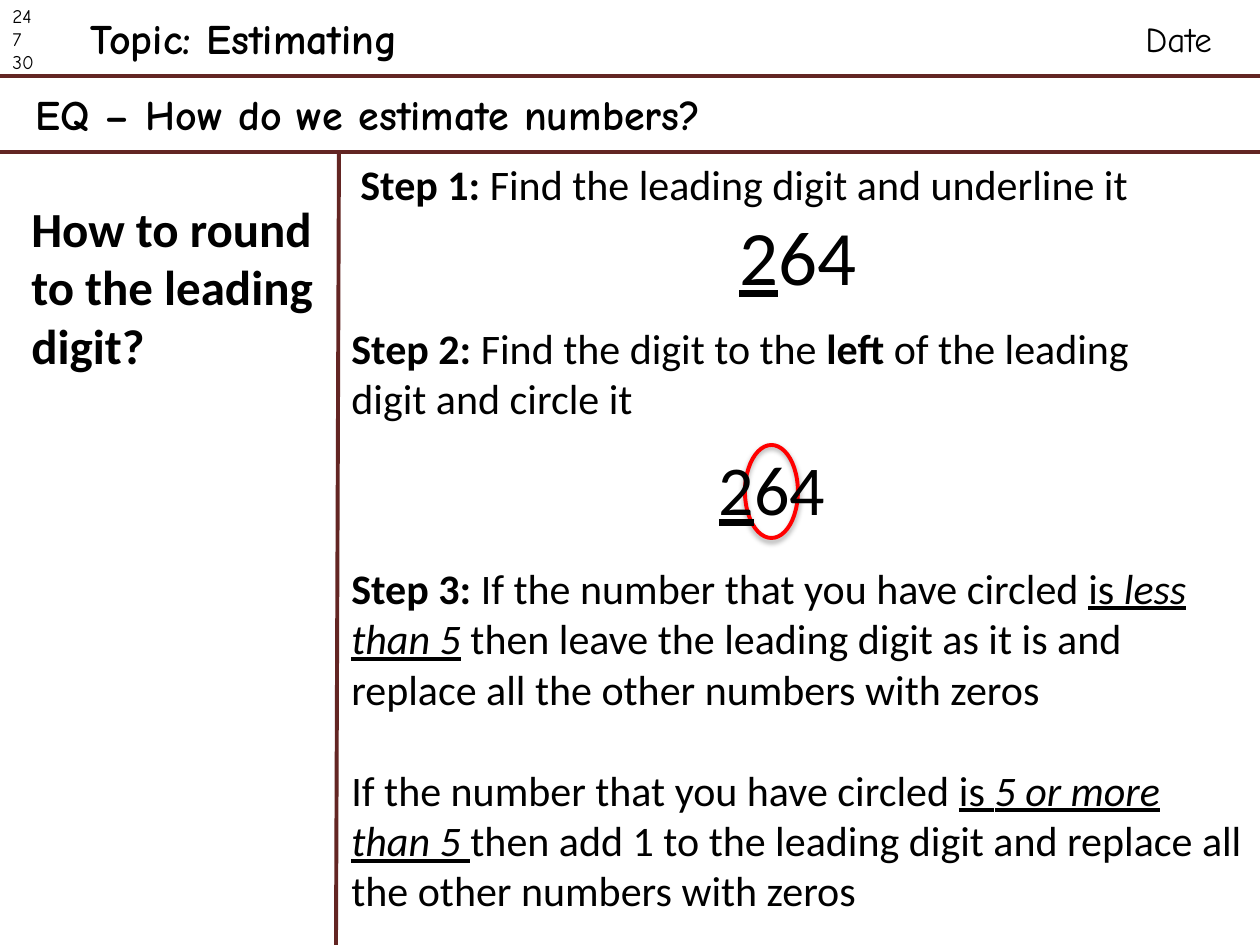
import pptx
import pptx.dml.color
import pptx.enum.shapes
import pptx.enum.text
import pptx.oxml
import pptx.oxml.ns
import pptx.util
from lxml import etree

PX = 914400 / 126  # EMU in one px
MAROON = pptx.dml.color.RGBColor(0x63, 0x25, 0x23)
RED = pptx.dml.color.RGBColor(0xFF, 0x00, 0x00)
BLACK = pptx.dml.color.RGBColor(0x00, 0x00, 0x00)
HAND, BODY = "Comic Neue", "Calibri"
LEFT, CENTER = pptx.enum.text.PP_ALIGN.LEFT, pptx.enum.text.PP_ALIGN.CENTER

SHADOW = (
    '<a:effectLst %s><a:outerShdw blurRad="39370" dist="22860" dir="5400000" rotWithShape="0">'
    '<a:srgbClr val="000000"><a:alpha val="35000"/></a:srgbClr></a:outerShdw></a:effectLst>'
    % pptx.oxml.ns.nsdecls("a")
)


def emu(*lengths):
    return [pptx.util.Emu(round(n * PX)) for n in lengths]


def add_paragraph(tf, runs, first=False, size=24, font=BODY, bold=False, align=LEFT, before=0):
    """Runs are plain text or (text, style), the style made of letters b, i, u."""
    p = tf.paragraphs[0] if first else tf.add_paragraph()
    p.alignment = align
    p.space_before = pptx.util.Pt(before)
    for run in [runs] if isinstance(runs, str) else runs:
        text, style = (run, "") if isinstance(run, str) else run
        r = p.add_run()
        r.text = text
        r.font.name = font
        r.font.size = pptx.util.Pt(size)
        r.font.color.rgb = BLACK
        r.font.bold = bold or "b" in style
        r.font.italic = "i" in style
        r.font.underline = "u" in style


def fill_text(sp, paragraphs, wrap=True, **fmt):
    """Paragraphs are runs, or (runs, format) where a format differs."""
    tf = sp.text_frame
    tf.word_wrap = wrap
    tf.auto_size = pptx.enum.text.MSO_AUTO_SIZE.SHAPE_TO_FIT_TEXT
    tf.vertical_anchor = pptx.enum.text.MSO_ANCHOR.TOP
    for i, item in enumerate(paragraphs):
        runs, own = item if isinstance(item, tuple) else (item, {})
        add_paragraph(tf, runs, first=i == 0, **{**fmt, **own})


def add_text(s, box, paragraphs, **fmt):
    fill_text(s.shapes.add_textbox(*emu(*box)), paragraphs, **fmt)


def add_title(s, box, text, **fmt):
    sp = s.shapes.title
    sp.left, sp.top, sp.width, sp.height = emu(*box)
    fill_text(sp, [text], wrap=False, **fmt)


def add_rule(s, *ends):
    c = s.shapes.add_connector(pptx.enum.shapes.MSO_CONNECTOR.STRAIGHT, *emu(*ends))
    c.line.color.rgb = MAROON
    c.line.width = pptx.util.Pt(2.25)
    etree.SubElement(c._element.spPr, pptx.oxml.ns.qn("a:effectLst"))


def add_ring(s, box):
    sp = s.shapes.add_shape(pptx.enum.shapes.MSO_SHAPE.OVAL, *emu(*box))
    sp.fill.background()
    sp.line.color.rgb = RED
    sp.line.width = pptx.util.Pt(2.25)
    sp._element.spPr.append(pptx.oxml.parse_xml(SHADOW))


def example(size, before=0):
    return [("2", "u"), "64"], {"size": size, "align": CENTER, "before": before}


def main():
    prs = pptx.Presentation()
    prs.slide_width, prs.slide_height = emu(1260, 945)
    s = prs.slides.add_slide(prs.slide_layouts[5])

    # Note page rules
    for y in (76, 152):
        add_rule(s, 0, y, 1260, y)
    add_rule(s, 339, 152, 336, 945)

    # Header
    add_text(s, (0, -2, 71, 83), ["24", "7", "30"], size=11, font=HAND)
    add_title(s, (78, 6, 360, 63), "Topic: Estimating", font=HAND, bold=True)
    add_text(s, (1133, 11, 115, 55), ["Date"], size=20, font=HAND)
    add_text(s, (23, 82, 1191, 63), ["EQ – How do we estimate numbers?"], font=HAND, bold=True)

    # Question column
    add_text(s, (19, 192, 318, 190), ["How to round to the leading digit?"], size=28, bold=True)

    # Steps column
    add_text(s, (348, 152, 900, 183), [
        [("Step 1: ", "b"), "Find the leading digit and underline it"],
        example(44),
    ])
    add_ring(s, (745, 445, 53, 93))
    add_text(s, (339, 316, 866, 222), [
        [("Step 2: ", "b"), "Find the digit to the ", ("left", "b"),
         " of the leading digit and circle it"],
        example(40, before=13),
    ])
    circled = "If the number that you have circled "
    add_text(s, (339, 556, 921, 369), [
        [("Step 3: ", "b"), circled, ("is ", "u"), ("less than 5", "iu"),
         " then leave the leading digit as it is and replace all the other numbers with zeros"],
        ([circled, ("is ", "u"), ("5 or", "iu"), (" ", "u"), ("more than 5", "iu"), (" ", "u"),
          "then add 1 to the leading digit and replace all the other numbers with zeros"],
         {"before": 29}),
    ])

    prs.save("out.pptx")


if __name__ == "__main__":
    main()
